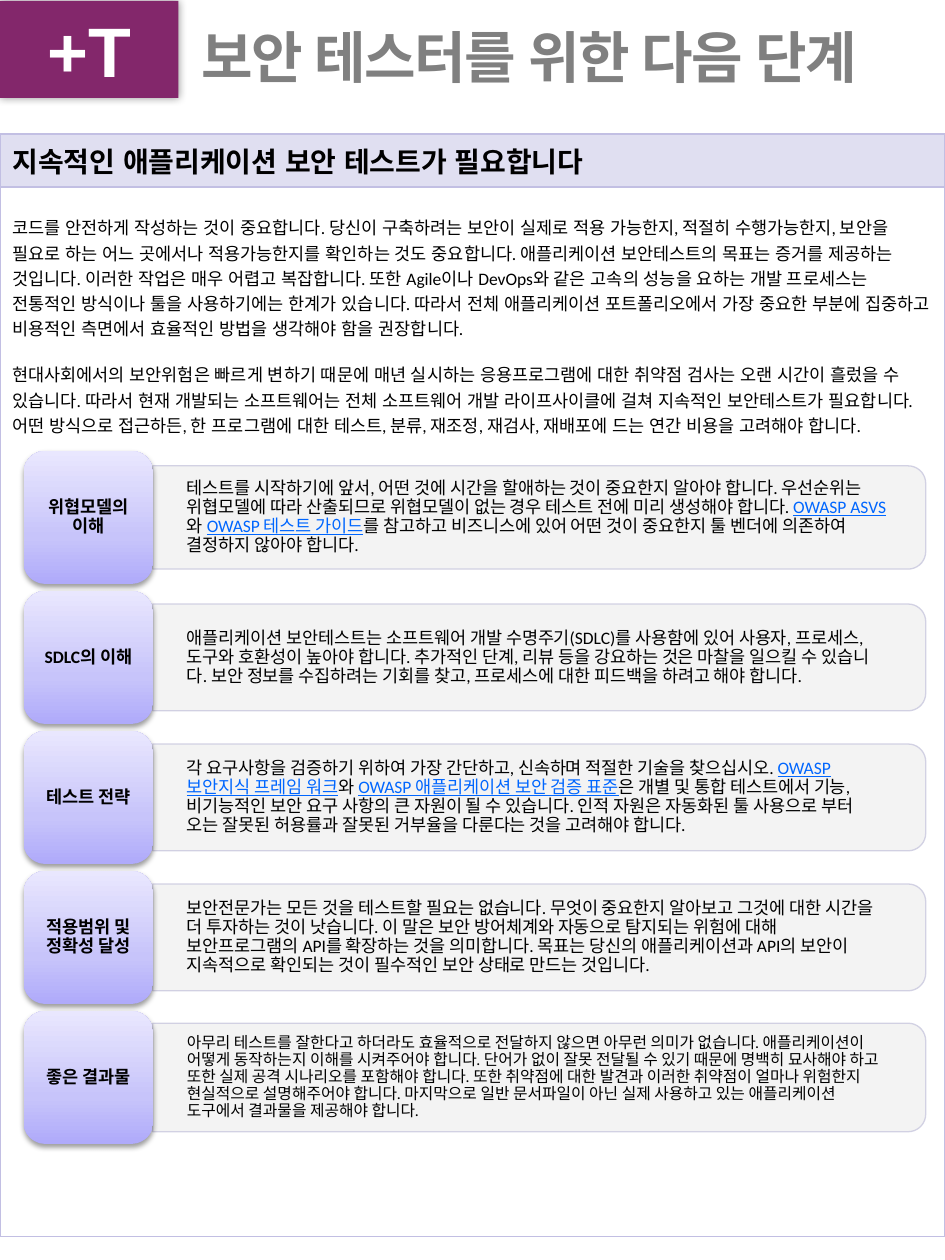
import math
from dataclasses import dataclass
from typing import Optional

from lxml import etree
from pptx import Presentation
from pptx.dml.color import RGBColor
from pptx.enum import lang, shapes, text as t
from pptx.oxml.ns import qn
from pptx.util import Pt

BLACK = RGBColor(0x00, 0x00, 0x00)
WHITE = RGBColor(0xFF, 0xFF, 0xFF)
GRAY = RGBColor(0x80, 0x80, 0x80)
PLUM = RGBColor(0x83, 0x27, 0x6B)
LINK_BLUE = RGBColor(0x00, 0x66, 0xFF)
HEADER_FILL = RGBColor(0xE0, 0xDF, 0xF1)
TABLE_BORDER = RGBColor(0xC2, 0xBF, 0xE3)
PANEL_FILL = RGBColor(0xF2, 0xF2, 0xF2)
PANEL_BORDER = RGBColor(0xCE, 0xCD, 0xE1)
TILE_STOPS = (
    (0, RGBColor(0xAF, 0xAA, 0xFA)),
    (35, RGBColor(0xC7, 0xC4, 0xFA)),
    (100, RGBColor(0xE9, 0xE7, 0xFE)),
)

TILE_LEFT, TILE_TOP, TILE_WIDTH, TILE_HEIGHT = 13.5, 257.7, 74, 76
STEP_PITCH = 80
PANEL_LEFT, PANEL_WIDTH, PANEL_RADIUS = 87.3, 441.7, 10


@dataclass(frozen=True)
class Span:
    text: str
    link: bool = False


@dataclass(frozen=True)
class Step:
    title: str
    spans: tuple[Span, ...]
    panel_height: float = 61
    size: float = 10


HEADING = "지속적인 애플리케이션 보안 테스트가 필요합니다"
INTRODUCTION = (
    "코드를 안전하게 작성하는 것이 중요합니다. 당신이 구축하려는 보안이 실제로 적용 가능한지, 적절히 수행가능한지, 보안을 필요로 하는 어느 곳에서나 적용가능한지를 확인하는 것도 중요합니다. 애플리케이션 보안테스트의 목표는 증거를 제공하는 것입니다. 이러한 작업은 매우 어렵고 복잡합니다. 또한 Agile이나 DevOps와 같은 고속의 성능을 요하는 개발 프로세스는 전통적인 방식이나 툴을 사용하기에는 한계가 있습니다. 따라서 전체 애플리케이션 포트폴리오에서 가장 중요한 부분에 집중하고 비용적인 측면에서 효율적인 방법을 생각해야 함을 권장합니다.",
    "현대사회에서의 보안위험은 빠르게 변하기 때문에 매년 실시하는 응용프로그램에 대한 취약점 검사는 오랜 시간이 흘렀을 수 있습니다. 따라서 현재 개발되는 소프트웨어는 전체 소프트웨어 개발 라이프사이클에 걸쳐 지속적인 보안테스트가 필요합니다. 어떤 방식으로 접근하든, 한 프로그램에 대한 테스트, 분류, 재조정, 재검사, 재배포에 드는 연간 비용을 고려해야 합니다.",
)
STEPS = (
    Step("위협모델의 이해", (
        Span("테스트를 시작하기에 앞서, 어떤 것에 시간을 할애하는 것이 중요한지 알아야 합니다. 우선순위는 위협모델에 따라 산출되므로 위협모델이 없는 경우 테스트 전에 미리 생성해야 합니다. "),
        Span("OWASP ASVS", link=True),
        Span("와 "),
        Span("OWASP 테스트 가이드", link=True),
        Span("를 참고하고 비즈니스에 있어 어떤 것이 중요한지 툴 벤더에 의존하여 결정하지 않아야 합니다."),
    ), panel_height=59),
    Step("SDLC의 이해", (
        Span("애플리케이션 보안테스트는 소프트웨어 개발 수명주기(SDLC)를 사용함에 있어 사용자, 프로세스, 도구와 호환성이 높아야 합니다. 추가적인 단계, 리뷰 등을 강요하는 것은 마찰을 일으킬 수 있습니다. 보안 정보를 수집하려는 기회를 찾고, 프로세스에 대한 피드백을 하려고 해야 합니다."),
    )),
    Step("테스트 전략", (
        Span("각 요구사항을 검증하기 위하여 가장 간단하고, 신속하며 적절한 기술을 찾으십시오. "),
        Span("OWASP 보안지식 프레임 워크", link=True),
        Span("와 "),
        Span("OWASP 애플리케이션 보안 검증 표준", link=True),
        Span("은 개별 및 통합 테스트에서 기능, 비기능적인 보안 요구 사항의 큰 자원이 될 수 있습니다. 인적 자원은 자동화된 툴 사용으로 부터 오는 잘못된 허용률과 잘못된 거부율을 다룬다는 것을 고려해야 합니다."),
    )),
    Step("적용범위 및 정확성 달성", (
        Span("보안전문가는 모든 것을 테스트할 필요는 없습니다. 무엇이 중요한지 알아보고 그것에 대한 시간을 더 투자하는 것이 낫습니다. 이 말은 보안 방어체계와 자동으로 탐지되는 위험에 대해 보안프로그램의 API를 확장하는 것을 의미합니다. 목표는 당신의 애플리케이션과 API의 보안이 지속적으로 확인되는 것이 필수적인 보안 상태로 만드는 것입니다."),
    )),
    Step("좋은 결과물", (
        Span("아무리 테스트를 잘한다고 하더라도 효율적으로 전달하지 않으면 아무런 의미가 없습니다. 애플리케이션이 어떻게 동작하는지 이해를 시켜주어야 합니다. 단어가 없이 잘못 전달될 수 있기 때문에 명백히 묘사해야 하고 또한 실제 공격 시나리오를 포함해야 합니다. 또한 취약점에 대한 발견과 이러한 취약점이 얼마나 위험한지 현실적으로 설명해주어야 합니다. 마지막으로 일반 문서파일이 아닌 실제 사용하고 있는 애플리케이션 도구에서 결과물을 제공해야 합니다."),
    ), panel_height=62, size=9),
)


def add_text(paragraph, text: str, *, size: float = 10, color: RGBColor = BLACK, bold: bool = False,
             underline: bool = False, font: str = "Calibri", east_asian: Optional[str] = None,
             tracking: float = 0) -> None:
    run = paragraph.add_run()
    run.text = text
    run.font.size, run.font.name, run.font.bold = Pt(size), font, bold
    run.font.underline = underline
    run.font.language_id = lang.MSO_LANGUAGE_ID.KOREAN
    run.font.color.rgb = color
    properties = run.font._element
    if tracking:
        properties.set("spc", str(int(tracking * 100)))
    if east_asian:
        latin = properties.find(qn("a:latin"))
        latin.addnext(properties.makeelement(qn("a:ea"), {"typeface": east_asian}))


def set_frame(shape, left: float = 7.2, top: float = 3.6, right: float = 7.2, bottom: float = 3.6):
    frame = shape.text_frame
    frame.word_wrap = True
    frame.vertical_anchor = t.MSO_ANCHOR.MIDDLE
    frame.margin_left, frame.margin_top = Pt(left), Pt(top)
    frame.margin_right, frame.margin_bottom = Pt(right), Pt(bottom)
    return frame.paragraphs[0]


def add_color(parent, color: RGBColor, alpha: int = 100) -> None:
    element = etree.SubElement(parent, qn("a:srgbClr"), val=str(color))
    if alpha < 100:
        etree.SubElement(element, qn("a:alpha"), val=str(alpha * 1000))


def add_shadow(shape, alpha: int, blur: float, distance: float, angle: int) -> None:
    shape.shadow.inherit = False
    effects = shape._element.spPr.find(qn("a:effectLst"))
    shadow = etree.SubElement(effects, qn("a:outerShdw"), blurRad=str(Pt(blur)), dist=str(Pt(distance)),
                              dir=str(angle * 60000), rotWithShape="0")
    add_color(shadow, BLACK, alpha)


def set_borders(cell, color: RGBColor) -> None:
    properties = cell._tc.get_or_add_tcPr()
    for side in ("L", "R", "T", "B"):
        line = etree.SubElement(properties, qn(f"a:ln{side}"), w=str(Pt(1)))
        add_color(etree.SubElement(line, qn("a:solidFill")), color)


def add_header(slide) -> None:
    title = slide.shapes.add_textbox(Pt(108), Pt(6), Pt(432), Pt(60))
    paragraph = set_frame(title)
    paragraph.line_spacing = Pt(30)
    add_text(paragraph, "보안 테스터를 위한 다음 단계", size=32, color=GRAY, bold=True, tracking=-1)

    badge = slide.shapes.add_shape(shapes.MSO_SHAPE.RECTANGLE, Pt(0), Pt(0.5), Pt(102), Pt(55.5))
    badge.fill.solid()
    badge.fill.fore_color.rgb = PLUM
    badge.line.fill.background()
    add_shadow(badge, 40, 5, 0, 0)
    paragraph = set_frame(badge)
    paragraph.alignment = t.PP_ALIGN.CENTER
    add_text(paragraph, "+T", size=40, color=WHITE, bold=True, font="Arial")


def add_overview(slide) -> None:
    table = slide.shapes.add_table(2, 1, Pt(0), Pt(76.5), Pt(540), Pt(630)).table
    table.first_row = table.horz_banding = False
    table.rows[0].height, table.rows[1].height = Pt(30.5), Pt(599.5)
    heading, body = table.cell(0, 0), table.cell(1, 0)
    for cell in (heading, body):
        set_borders(cell, TABLE_BORDER)
    heading.fill.solid()
    heading.fill.fore_color.rgb = HEADER_FILL
    heading.vertical_anchor = t.MSO_ANCHOR.MIDDLE
    add_text(heading.text_frame.paragraphs[0], HEADING, size=16, bold=True)

    body.fill.background()
    body.margin_top = Pt(15.8)
    first = body.text_frame.paragraphs[0]
    second = body.text_frame.add_paragraph()
    second.space_before = Pt(12)
    for paragraph, text in zip((first, second), INTRODUCTION):
        add_text(paragraph, text)


def add_panel(slide, step: Step, middle: float) -> None:
    top, bottom = middle - step.panel_height / 2, middle + step.panel_height / 2
    right = PANEL_LEFT + PANEL_WIDTH
    corners = ((top + PANEL_RADIUS, -90), (bottom - PANEL_RADIUS, 0))
    points = [
        (right - PANEL_RADIUS + PANEL_RADIUS * math.cos(math.radians(start + turn)),
         center + PANEL_RADIUS * math.sin(math.radians(start + turn)))
        for center, start in corners for turn in range(0, 91, 10)
    ]
    builder = slide.shapes.build_freeform(Pt(PANEL_LEFT), Pt(top))
    builder.add_line_segments([(Pt(x), Pt(y)) for x, y in points + [(PANEL_LEFT, bottom)]])
    panel = builder.convert_to_shape()
    panel.fill.solid()
    panel.fill.fore_color.rgb = PANEL_FILL
    panel.line.color.rgb = PANEL_BORDER
    panel.line.width = Pt(0.75)
    for color in panel._element.spPr.iter(qn("a:srgbClr")):
        etree.SubElement(color, qn("a:alpha"), val="90000")
    panel.shadow.inherit = False
    paragraph = set_frame(panel, 19.5, 13, 22.5, 13)
    paragraph.alignment = t.PP_ALIGN.LEFT
    paragraph.line_spacing, paragraph.space_after = 0.9, Pt(1.5)
    for span in step.spans:
        add_text(paragraph, span.text, size=step.size, color=LINK_BLUE if span.link else BLACK,
                 underline=span.link, east_asian="Calibri")


def add_tile(slide, step: Step, top: float) -> None:
    tile = slide.shapes.add_shape(shapes.MSO_SHAPE.ROUNDED_RECTANGLE, Pt(TILE_LEFT), Pt(top),
                                  Pt(TILE_WIDTH), Pt(TILE_HEIGHT))
    tile.fill.gradient()
    tile.fill.gradient_angle = 90
    stops = tile._element.spPr.find(f".//{qn('a:gsLst')}")
    stops[:] = []
    for position, color in TILE_STOPS:
        add_color(etree.SubElement(stops, qn("a:gs"), pos=str(position * 1000)), color)
    tile.line.fill.background()
    add_shadow(tile, 38, 3.1, 1.6, 90)
    paragraph = set_frame(tile, 3, 1.5, 3, 1.5)
    paragraph.alignment = t.PP_ALIGN.CENTER
    paragraph.line_spacing, paragraph.space_after = 0.9, Pt(3.5)
    add_text(paragraph, step.title, bold=True, east_asian="Calibri")


def main() -> None:
    presentation = Presentation()
    presentation.slide_width, presentation.slide_height = Pt(540), Pt(720)
    slide = presentation.slides.add_slide(presentation.slide_layouts[6])
    add_header(slide)
    add_overview(slide)
    for index, step in enumerate(STEPS):
        top = TILE_TOP + index * STEP_PITCH
        add_panel(slide, step, top + TILE_HEIGHT / 2)
        add_tile(slide, step, top)
    presentation.save("out.pptx")


if __name__ == "__main__":
    main()
